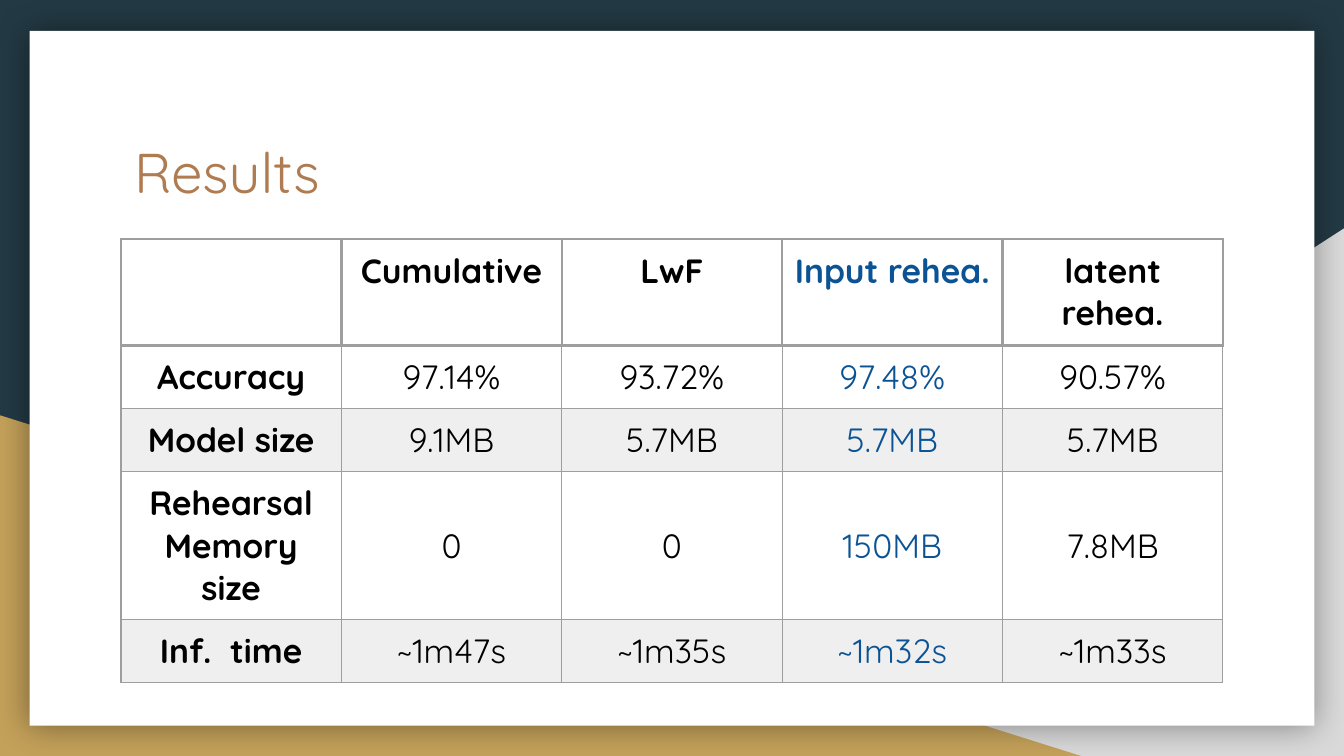
from dataclasses import dataclass

from lxml import etree
from pptx import Presentation
from pptx import util as u
from pptx.dml.color import RGBColor
from pptx.enum import shapes, text
from pptx.oxml import ns


@dataclass(frozen=True)
class Theme:
    font: str = "Quicksand"
    title_size: int = 30
    table_size: int = 18
    background: str = "233A44"
    grey: str = "D9D9D9"
    gold: str = "C4A15A"
    white: str = "FFFFFF"
    title: str = "AF7B51"
    ink: str = "000000"
    highlight: str = "0B5394"
    band: str = "EFEFEF"
    border: str = "9E9E9E"


theme = Theme()


def write(frame, content, size, color, bold=False, align=text.PP_ALIGN.LEFT):
    frame.word_wrap = True
    paragraph = frame.paragraphs[0]
    paragraph.alignment = align
    paragraph.font.size = u.Pt(size)
    if content:
        run = paragraph.add_run()
        run.text = content
        run.font.name = theme.font
        run.font.size = u.Pt(size)
        run.font.bold = bold
        run.font.color.rgb = RGBColor.from_string(color)


def add_border(cell, side, width):
    line = etree.SubElement(cell._tc.get_or_add_tcPr(), ns.qn(f"a:ln{side}"), w=str(u.Pt(width)))
    fill = etree.SubElement(line, ns.qn("a:solidFill"))
    etree.SubElement(fill, ns.qn("a:srgbClr"), val=theme.border)


presentation = Presentation()
presentation.slide_width = u.Inches(10)
presentation.slide_height = u.Inches(10) * 9 // 16
slide = presentation.slides.add_slide(presentation.slide_layouts[6])
slide.background.fill.solid()
slide.background.fill.fore_color.rgb = RGBColor.from_string(theme.background)

triangle = shapes.MSO_SHAPE.RIGHT_TRIANGLE
backdrop = []
for kind, box, color in [
    (triangle, (3.92, 1.7, 6.08, 3.93), theme.grey),
    (triangle, (0, 3.09, 8.06, 2.54), theme.gold),
    (shapes.MSO_SHAPE.RECTANGLE, (0.22, 0.23, 9.56, 5.17), theme.white),
]:
    shape = slide.shapes.add_shape(kind, *map(u.Inches, box))
    shape.shadow.inherit = False
    shape.fill.solid()
    shape.fill.fore_color.rgb = RGBColor.from_string(color)
    shape.line.fill.background()
    backdrop.append(shape)

grey_corner, gold_corner, card = backdrop
grey_corner._element.spPr.find(ns.qn("a:xfrm")).set("flipH", "1")
effects = card._element.spPr.find(ns.qn("a:effectLst"))
shadow = etree.SubElement(effects, ns.qn("a:outerShdw"), blurRad=str(u.Pt(18)), dist="0",
                          dir="0", algn="ctr", rotWithShape="0")
shadow_color = etree.SubElement(shadow, ns.qn("a:srgbClr"), val=theme.ink)
etree.SubElement(shadow_color, ns.qn("a:alpha"), val="40000")

title = slide.shapes.add_textbox(u.Inches(0.9), u.Inches(0.92), u.Inches(8.21), u.Inches(1.04))
frame = title.text_frame
frame.margin_left = frame.margin_right = frame.margin_top = frame.margin_bottom = u.Inches(0.1)
write(frame, "Results", theme.title_size, theme.title)

results = [
    ["", "Cumulative", "LwF", "Input rehea.", "latent rehea."],
    ["Accuracy", "97.14%", "93.72%", "97.48%", "90.57%"],
    ["Model size", "9.1MB", "5.7MB", "5.7MB", "5.7MB"],
    ["Rehearsal Memory size", "0", "0", "150MB", "7.8MB"],
    ["Inf.  time", "~1m47s", "~1m35s", "~1m32s", "~1m33s"],
]
row_heights = [0.79, 0.47, 0.47, 1.1, 0.47]
column_width = 1.64
highlight_column = 3

table = slide.shapes.add_table(
    len(results), len(results[0]), u.Inches(0.9), u.Inches(1.78),
    u.Inches(column_width * len(results[0])), u.Inches(sum(row_heights)),
).table
table.first_row = False
table.horz_banding = False
for column in table.columns:
    column.width = u.Inches(column_width)

for row, values in enumerate(results):
    table.rows[row].height = u.Inches(row_heights[row])
    for column, value in enumerate(values):
        cell = table.cell(row, column)
        cell.margin_left = cell.margin_right = u.Inches(0.08)
        cell.margin_top = cell.margin_bottom = u.Inches(0.08)
        if row >= 3 and column > 0:
            cell.vertical_anchor = text.MSO_ANCHOR.MIDDLE
        for side in "LRTB":
            thick = row == 0 or (row == 1 and side == "T")
            add_border(cell, side, 1.5 if thick else 0.75)
        if row in (2, 4):
            cell.fill.solid()
            cell.fill.fore_color.rgb = RGBColor.from_string(theme.band)
        else:
            cell.fill.background()
        write(cell.text_frame, value, theme.table_size,
              theme.highlight if column == highlight_column else theme.ink,
              bold=row == 0 or column == 0, align=text.PP_ALIGN.CENTER)

presentation.save("out.pptx")
